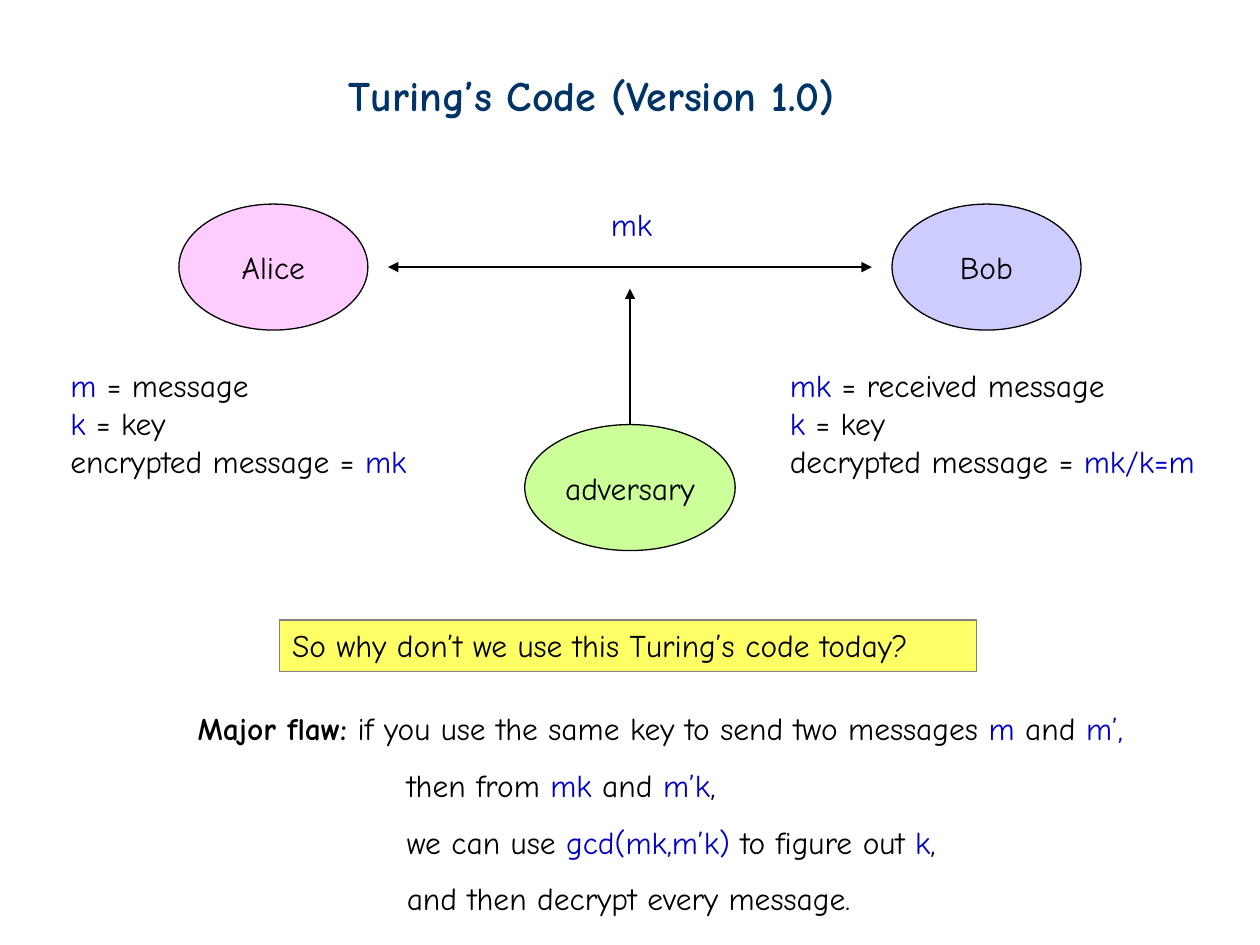
"""Build the slide on the first version of Turing's code."""
from lxml.etree import SubElement
from pptx import Presentation
from pptx.dml.color import RGBColor
from pptx.enum.shapes import MSO_CONNECTOR as Connector, MSO_SHAPE as Shape
from pptx.enum.text import MSO_ANCHOR as Anchor, PP_ALIGN as Align
from pptx.oxml.ns import qn
from pptx.util import Inches, Pt

FONT = "Comic Neue"
BLACK, WHITE = RGBColor(0, 0, 0), RGBColor(255, 255, 255)
NAVY, BLUE = RGBColor(0, 0x33, 0x66), RGBColor(0, 0, 0xCC)
PINK, LILAC = RGBColor(0xFF, 0xCC, 0xFF), RGBColor(0xCC, 0xCC, 0xFF)
GREEN, YELLOW = RGBColor(0xCC, 0xFF, 0x99), RGBColor(0xFF, 0xFF, 0x66)
GRAY = RGBColor(0x80, 0x80, 0x80)
WIDTH, HEIGHT = 10, 7.5
MIDDLE = WIDTH / 2
CHANNEL_Y, ADVERSARY_Y = 2.12, 3.87
PARTY_OFFSET, CHANNEL_REACH = 2.83, 1.92
OVAL_HEIGHT = 1

TITLE = "Turing’s Code (Version 1.0)"
QUESTION = "So why don’t we use this Turing’s code today?"
PEOPLE = [
    ("Alice", MIDDLE - PARTY_OFFSET, CHANNEL_Y, 1.5, PINK),
    ("Bob", MIDDLE + PARTY_OFFSET, CHANNEL_Y, 1.5, LILAC),
    ("adversary", MIDDLE, ADVERSARY_Y, 1.67, GREEN),
]
ARROWS = [
    ((MIDDLE - CHANNEL_REACH, CHANNEL_Y), (MIDDLE + CHANNEL_REACH, CHANNEL_Y), ("headEnd", "tailEnd")),
    ((MIDDLE, ADVERSARY_Y - OVAL_HEIGHT / 2), (MIDDLE, 2.29), ("tailEnd",)),
]
SENT = [("mk", BLUE)]
NOTES = [
    (0.46, 3.04, [
        [("m", BLUE), (" = message", BLACK)],
        [("k", BLUE), (" = key", BLACK)],
        [("encrypted message = ", BLACK), ("mk", BLUE)],
    ]),
    (6.17, 3.64, [
        [("mk", BLUE), (" = received message", BLACK)],
        [("k", BLUE), (" = key", BLACK)],
        [("decrypted message = ", BLACK), ("mk/k=m", BLUE)],
    ]),
]
FLAW = [
    [("Major flaw:", BLACK, True), (" if you use the same key to send two messages ", BLACK),
     ("m", BLUE), (" and ", BLACK), ("m’,", BLUE)],
    [("then from ", BLACK), ("mk", BLUE), (" and ", BLACK), ("m’k", BLUE), (",", BLACK)],
    [("we can use ", BLACK), ("gcd(mk,m’k)", BLUE), (" to figure out ", BLACK),
     ("k", BLUE), (",", BLACK)],
    [("and then decrypt every message.", BLACK)],
]


def write(shape, lines, size=18, align=Align.LEFT, anchor=Anchor.TOP, wrap=True,
          later_indent=0, later_spacing=None):
    """Fill a shape with lines of (text, colour[, bold]) spans."""
    frame = shape.text_frame
    frame.word_wrap, frame.vertical_anchor = wrap, anchor
    for index, line in enumerate(lines):
        para = frame.add_paragraph() if index else frame.paragraphs[0]
        para.alignment = align
        if index and later_indent:
            para._p.get_or_add_pPr().set("marL", str(Inches(later_indent)))
        if index and later_spacing:
            para.line_spacing = later_spacing
        for text, color, *bold in line:
            span = para.add_run()
            span.text = text
            font = span.font
            font.name, font.size, font.bold = FONT, Pt(size), bool(bold)
            font.color.rgb = color


def add_text(page, place, lines, **style):
    """Add a text box at a place in inches."""
    write(page.shapes.add_textbox(*map(Inches, place)), lines, **style)


def add_filled(page, kind, place, fill, line, lines, **style):
    """Add a filled, outlined shape with text."""
    shape = page.shapes.add_shape(kind, *map(Inches, place))
    shape.shadow.inherit = False
    shape.fill.solid()
    shape.fill.fore_color.rgb = fill
    shape.line.color.rgb = line
    shape.line.width = Pt(0.75)
    write(shape, lines, **style)


def add_arrow(page, start, end, heads):
    """Add a straight black arrow with the given line ends."""
    arrow = page.shapes.add_connector(Connector.STRAIGHT, *map(Inches, start + end))
    arrow.line.color.rgb = BLACK
    arrow.line.width = Pt(0.75)
    for head in heads:
        SubElement(arrow.line._get_or_add_ln(), qn("a:" + head), type="triangle")
    SubElement(arrow._element.spPr, qn("a:effectLst"))


def main():
    """Lay out the slide and save it."""
    deck = Presentation()
    deck.slide_width, deck.slide_height = Inches(WIDTH), Inches(HEIGHT)
    page = deck.slides.add_slide(deck.slide_layouts[6])
    page.background.fill.solid()
    page.background.fill.fore_color.rgb = WHITE

    add_text(page, (2.67, 0.5, 4.62, 0.5), [[(TITLE, NAVY, True)]], size=24)
    for name, x, y, width, fill in PEOPLE:
        place = (x - width / 2, y - OVAL_HEIGHT / 2, width, OVAL_HEIGHT)
        add_filled(page, Shape.OVAL, place, fill, BLACK, [[(name, BLACK)]],
                   align=Align.CENTER, anchor=Anchor.MIDDLE, wrap=False)
    for arrow in ARROWS:
        add_arrow(page, *arrow)
    add_text(page, (4.75, 1.58, 0.53, 0.4), [SENT], wrap=False)
    for left, width, lines in NOTES:
        add_text(page, (left, 2.86, width, 1), lines)
    add_filled(page, Shape.RECTANGLE, (2.22, 4.92, 5.53, 0.41), YELLOW, GRAY,
               [[(QUESTION, BLACK)]])
    add_text(page, (1.47, 5.58, 8.18, 1.76), FLAW, later_indent=1.66, later_spacing=1.5)
    deck.save("out.pptx")


if __name__ == "__main__":
    main()
